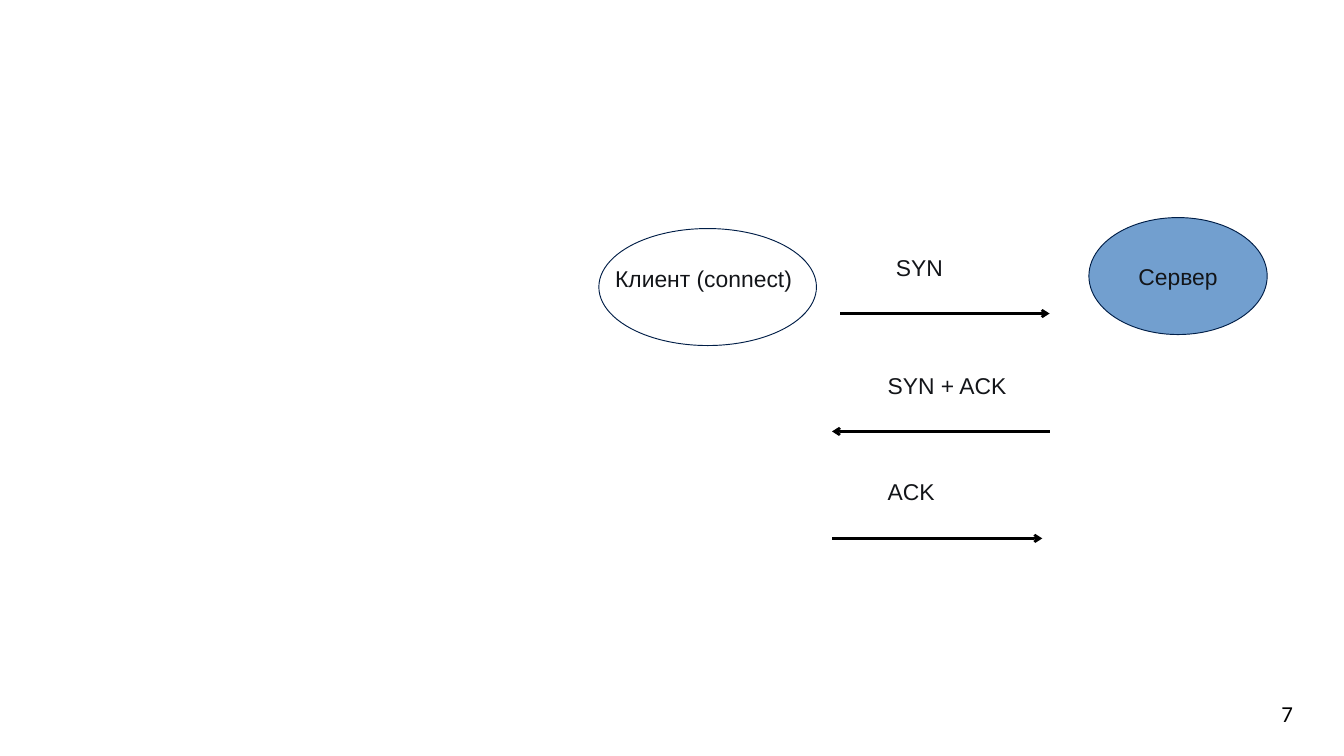
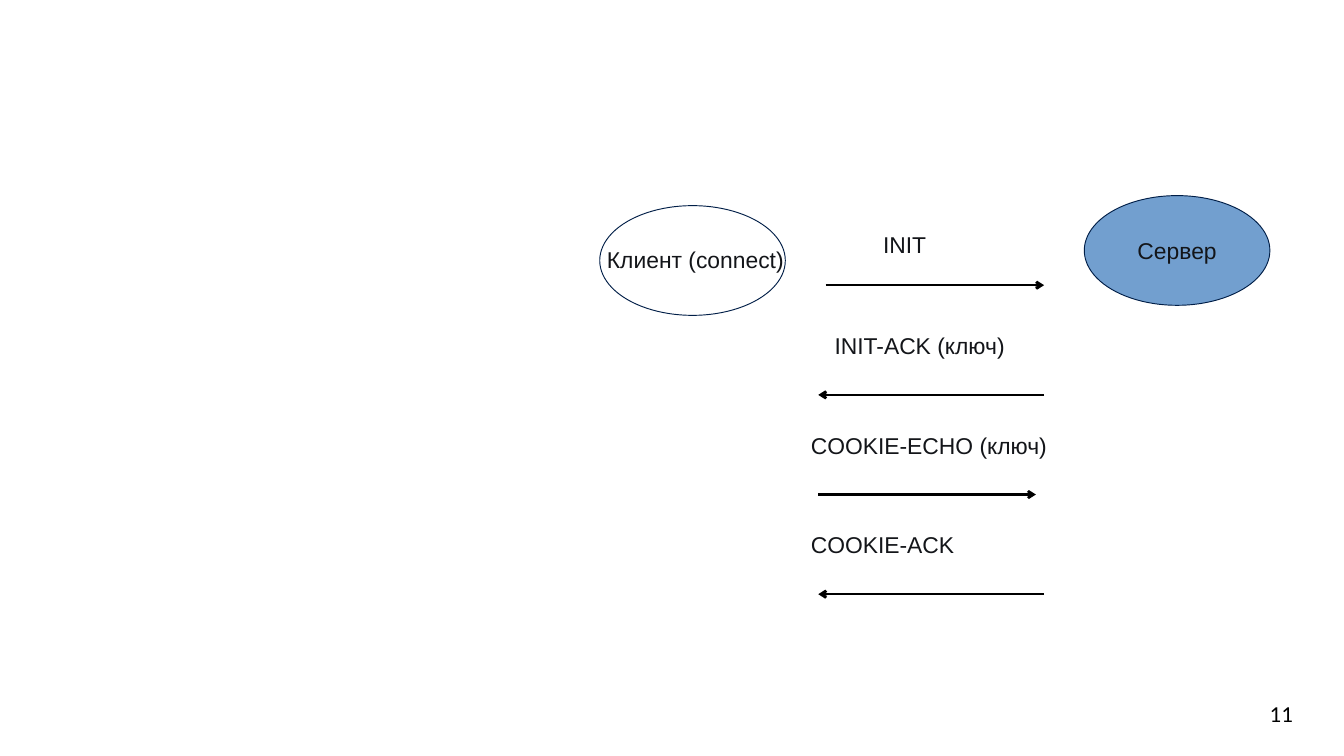
from dataclasses import dataclass

from lxml.etree import SubElement
from pptx import Presentation
from pptx.dml.color import RGBColor
from pptx.enum.shapes import MSO_CONNECTOR, MSO_SHAPE
from pptx.enum.text import MSO_ANCHOR, PP_ALIGN
from pptx.oxml.ns import qn
from pptx.slide import Slide
from pptx.text.text import TextFrame
from pptx.util import Inches, Pt

WHITE = RGBColor(0xFF, 0xFF, 0xFF)
BLACK = RGBColor(0x00, 0x00, 0x00)
INK = RGBColor(0x13, 0x15, 0x19)
NAVY = RGBColor(0x00, 0x1E, 0x47)
BLUE = RGBColor(0x72, 0x9F, 0xCF)

HAIRLINE = Pt(0)
LABEL_FONT = {"name": "Arial", "size": Pt(18)}
NUMBER_FONT = {"name": "Calibri", "size": Pt(18)}
MARGINS = {
    "margin_left": Inches(0.1),
    "margin_right": Inches(0.1),
    "margin_top": Inches(0.05),
    "margin_bottom": Inches(0.05),
}


@dataclass(frozen=True)
class Area:
    left: float
    top: float
    width: float
    height: float

    def lengths(self) -> list[Inches]:
        return [Inches(value) for value in (self.left, self.top, self.width, self.height)]


@dataclass(frozen=True)
class Label:
    text: str
    area: Area


@dataclass(frozen=True)
class Message:
    """A label and the arrow under it, which points from start to end."""

    label: Label
    start: float
    end: float
    level: float


@dataclass(frozen=True)
class Handshake:
    number: int
    client: Area
    client_label: Label
    server: Area
    messages: tuple[Message, ...]


NUMBER_AREA = Area(12.98, 7.58, 1.26, 0.44)

HANDSHAKES = (
    Handshake(
        number=7,
        client=Area(6.55, 2.5, 2.38, 1.28),
        client_label=Label("Клиент (connect)", Area(6.63, 2.85, 2.32, 0.58)),
        server=Area(11.91, 2.38, 1.95, 1.28),
        messages=(
            Message(Label("SYN", Area(9.7, 2.73, 0.77, 0.58)), 9.19, 11.48, 3.43),
            Message(Label("SYN + ACK", Area(9.61, 4.02, 1.63, 0.58)), 11.48, 9.1, 4.72),
            Message(Label("ACK", Area(9.61, 5.18, 0.77, 0.58)), 9.1, 11.4, 5.89),
        ),
    ),
    Handshake(
        number=11,
        client=Area(6.56, 2.25, 2.03, 1.2),
        client_label=Label("Клиент (connect)", Area(6.54, 2.64, 2.42, 0.54)),
        server=Area(11.86, 2.14, 2.03, 1.2),
        messages=(
            Message(Label("INIT", Area(9.56, 2.47, 0.76, 0.54)), 9.03, 11.42, 3.12),
            Message(Label("INIT-ACK (ключ)", Area(9.03, 3.58, 2.34, 0.54)), 11.42, 8.95, 4.32),
            Message(Label("COOKIE-ECHO (ключ)", Area(8.77, 4.67, 3.15, 0.54)), 8.95, 11.33, 5.41),
            Message(Label("COOKIE-ACK", Area(8.77, 5.76, 2, 0.54)), 11.42, 8.95, 6.5),
        ),
    ),
)


def write(
    frame: TextFrame,
    text: str,
    font: dict = LABEL_FONT,
    color: RGBColor = INK,
    alignment: PP_ALIGN = PP_ALIGN.LEFT,
    anchor: MSO_ANCHOR = MSO_ANCHOR.TOP,
    wrap: bool = True,
) -> None:
    for name, value in MARGINS.items():
        setattr(frame, name, value)
    frame.word_wrap = wrap
    frame.vertical_anchor = anchor
    para = frame.paragraphs[0]
    para.alignment = alignment
    span = para.add_run()
    span.text = text
    for name, value in font.items():
        setattr(span.font, name, value)
    span.font.color.rgb = color


def add_label(page: Slide, label: Label, **style) -> None:
    box = page.shapes.add_textbox(*label.area.lengths())
    write(box.text_frame, label.text, **style)


def add_host(page: Slide, area: Area, fill: RGBColor, text: str = "") -> None:
    host = page.shapes.add_shape(MSO_SHAPE.OVAL, *area.lengths())
    host.shadow.inherit = False
    host.fill.solid()
    host.fill.fore_color.rgb = fill
    host.line.color.rgb = NAVY
    host.line.width = HAIRLINE
    if text:
        write(host.text_frame, text, alignment=PP_ALIGN.CENTER,
              anchor=MSO_ANCHOR.MIDDLE, wrap=False)


def add_message(page: Slide, message: Message) -> None:
    level = Inches(message.level)
    arrow = page.shapes.add_connector(
        MSO_CONNECTOR.STRAIGHT, Inches(message.start), level, Inches(message.end), level
    )
    arrow.line.color.rgb = BLACK
    arrow.line.width = HAIRLINE
    properties = arrow.element.spPr
    SubElement(properties.find(qn("a:ln")), qn("a:tailEnd"), type="arrow")
    SubElement(properties, qn("a:effectLst"))
    add_label(page, message.label)


def add_handshake(page: Slide, handshake: Handshake) -> None:
    add_label(page, Label(str(handshake.number), NUMBER_AREA), font=NUMBER_FONT,
              color=BLACK, alignment=PP_ALIGN.RIGHT, anchor=MSO_ANCHOR.MIDDLE)
    add_host(page, handshake.client, WHITE)
    add_host(page, handshake.server, BLUE, "Сервер")
    add_label(page, handshake.client_label)
    for message in handshake.messages:
        add_message(page, message)


def main() -> None:
    deck = Presentation()
    deck.slide_width = Inches(14.7)
    deck.slide_height = Inches(8.27)
    blank = deck.slide_layouts[6]
    for handshake in HANDSHAKES:
        add_handshake(deck.slides.add_slide(blank), handshake)
    deck.save("out.pptx")


if __name__ == "__main__":
    main()
